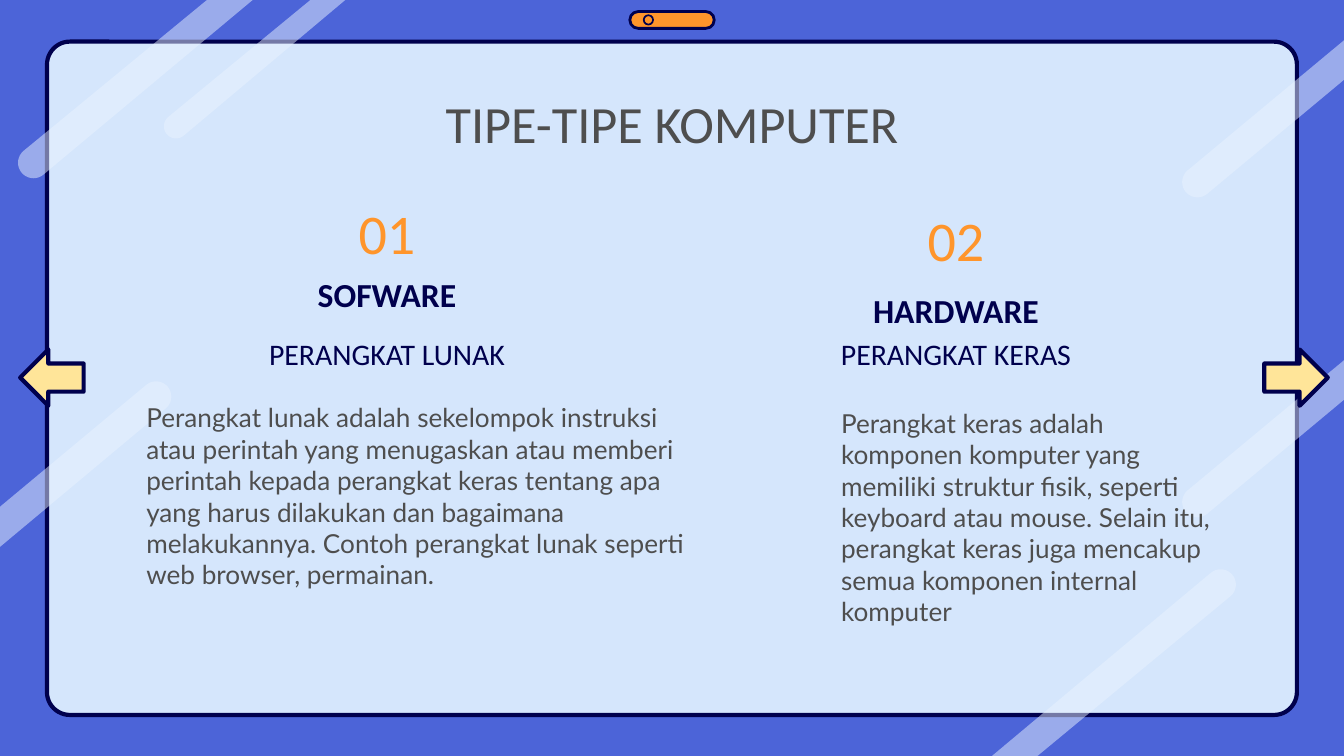
from math import cos, radians, sin

from lxml import etree
from pptx import Presentation
from pptx.dml.color import RGBColor
from pptx.enum.shapes import MSO_SHAPE
from pptx.enum.text import MSO_ANCHOR, PP_ALIGN
from pptx.oxml.ns import qn
from pptx.util import Pt

ROUND, OVAL = MSO_SHAPE.ROUNDED_RECTANGLE, MSO_SHAPE.OVAL
LEFT_ARROW, RIGHT_ARROW = MSO_SHAPE.LEFT_ARROW, MSO_SHAPE.RIGHT_ARROW
TOP, MIDDLE = MSO_ANCHOR.TOP, MSO_ANCHOR.MIDDLE
LEFT, CENTER = PP_ALIGN.LEFT, PP_ALIGN.CENTER

COLORS = {
    "background": "4C64D8",
    "card": "D5E6FC",
    "streak": "E9F3FF",
    "navy": "00004D",
    "orange": "FF952B",
    "arrow": "FFE599",
    "gray": "4E4E4E",
}

STYLES = {
    "title": {"size": Pt(28), "name": "Calibri", "color": "gray"},
    "number": {"size": Pt(30), "name": "Calibri", "color": "orange"},
    "heading": {"size": Pt(18), "name": "Calibri", "color": "navy", "bold": True},
    "subtitle": {"size": Pt(16), "name": "Calibri", "color": "navy"},
    "body": {"size": Pt(14), "name": "Lato", "color": "gray"},
}

STREAKS = [
    ((18, 87.2), 8.3, 50, (135.4, 0), (110.9, 0)),
    ((94.3, 67.7), 6.5, 50, (185, 0), (166.3, 0)),
    ((653.9, 313.2), 8.2, 230, (531.4, 405), (555.8, 405)),
    ((641.5, 269), 8.2, 50, (720, 214.2), (720, 193)),
    ((641.5, 97.6), 8.2, 50, (720, 42.8), (720, 21.6)),
    ((83.6, 212.5), 8.2, 230, (0, 271.5), (0, 293)),
]

SOFTWARE = (
    "Perangkat lunak adalah sekelompok instruksi atau perintah yang menugaskan "
    "atau memberi perintah kepada perangkat keras tentang apa yang harus "
    "dilakukan dan bagaimana melakukannya. Contoh perangkat lunak seperti "
    "web browser, permainan."
)
HARDWARE = (
    "Perangkat keras adalah komponen komputer yang memiliki struktur fisik, "
    "seperti keyboard atau mouse. Selain itu, perangkat keras juga mencakup "
    "semua komponen internal komputer"
)


def rgb(name):
    return RGBColor.from_string(COLORS[name])


def add_shape(slide, kind, box, fill, width, radius=None):
    sp = slide.shapes.add_shape(kind, *map(Pt, box))
    sp.shadow.inherit = False
    if fill:
        sp.fill.solid()
        sp.fill.fore_color.rgb = rgb(fill)
    else:
        sp.fill.background()
    sp.line.color.rgb = rgb("navy")
    sp.line.width = Pt(width)
    if radius is not None:
        sp.adjustments[0] = radius
    return sp


def add_text(slide, text, box, style, align=CENTER, anchor=MIDDLE, inset=7.2):
    tf = slide.shapes.add_textbox(*map(Pt, box)).text_frame
    frame = {
        "word_wrap": True,
        "vertical_anchor": anchor,
        "margin_left": Pt(7.2),
        "margin_right": Pt(7.2),
        "margin_top": Pt(inset),
        "margin_bottom": Pt(inset),
    }
    for key, value in frame.items():
        setattr(tf, key, value)
    p = tf.paragraphs[0]
    p.alignment = align
    r = p.add_run()
    r.text = text
    for key, value in STYLES[style].items():
        if key == "color":
            r.font.color.rgb = rgb(value)
        else:
            setattr(r.font, key, value)


def add_streak(slide, center, radius, angle, start, end):
    x, y = center
    turns = [radians(angle + step) for step in range(0, 181, 10)]
    cap = [(x + radius * cos(a), y + radius * sin(a)) for a in turns]
    points = [(Pt(px), Pt(py)) for px, py in cap + [end]]
    builder = slide.shapes.build_freeform(Pt(start[0]), Pt(start[1]))
    builder.add_line_segments(points, close=True)
    sp = builder.convert_to_shape()
    sp.shadow.inherit = False
    sp.fill.solid()
    sp.fill.fore_color.rgb = rgb("streak")
    sp.line.fill.background()
    color = sp.fill._xPr.find(qn("a:solidFill"))[0]
    etree.SubElement(color, qn("a:alpha")).set("val", "50000")


def add_backdrop(slide, box):
    slide.background.fill.solid()
    slide.background.fill.fore_color.rgb = rgb("background")
    add_shape(slide, ROUND, box, "card", 2.25, 0.034)
    for streak in STREAKS:
        add_streak(slide, *streak)


def add_pill(slide, box):
    x, y, w, h = box
    add_shape(slide, ROUND, box, "orange", 1.5, 0.5)
    d = 5
    add_shape(slide, OVAL, (x + 7.5, y + (h - d) / 2, d, d), None, 0.9)


def add_topic(slide, box, number, heading, subtitle, heading_top):
    x, y, w, h = box
    mid = x + w / 2
    add_text(slide, number, (mid - 28.8, y, 57.6, h), "number")
    add_text(slide, heading, (x, heading_top, w, h), "heading")
    add_text(slide, subtitle, (mid - 93.25, 167, 186.5, 45.4), "subtitle")


def add_body(slide, box, text):
    add_text(slide, text, box, "body", LEFT, TOP, 3.6)


def main():
    prs = Presentation()
    prs.slide_width, prs.slide_height = Pt(720), Pt(405)
    slide = prs.slides.add_slide(prs.slide_layouts[6])
    add_backdrop(slide, (25.2, 22.3, 669.6, 360.7))
    add_pill(slide, (337.4, 6.2, 45.2, 9))
    add_text(slide, "TIPE-TIPE KOMPUTER", (56.9, 41.8, 606.2, 45.4), "title", anchor=TOP)
    add_topic(slide, (79.2, 109.4, 256.3, 30.2), "01", "SOFWARE", "PERANGKAT LUNAK", 142.6)
    add_topic(slide, (384, 113, 256.3, 30.2), "02", "HARDWARE", "PERANGKAT KERAS", 151.2)
    for kind, x in ((LEFT_ARROW, 10.8), (RIGHT_ARROW, 677.3)):
        add_shape(slide, kind, (x, 187.2, 34, 30.2), "arrow", 2.25)
    add_body(slide, (71.3, 211.7, 312.5, 92.2), SOFTWARE)
    add_body(slide, (443.5, 214.6, 216, 126), HARDWARE)
    prs.save("out.pptx")


if __name__ == "__main__":
    main()
